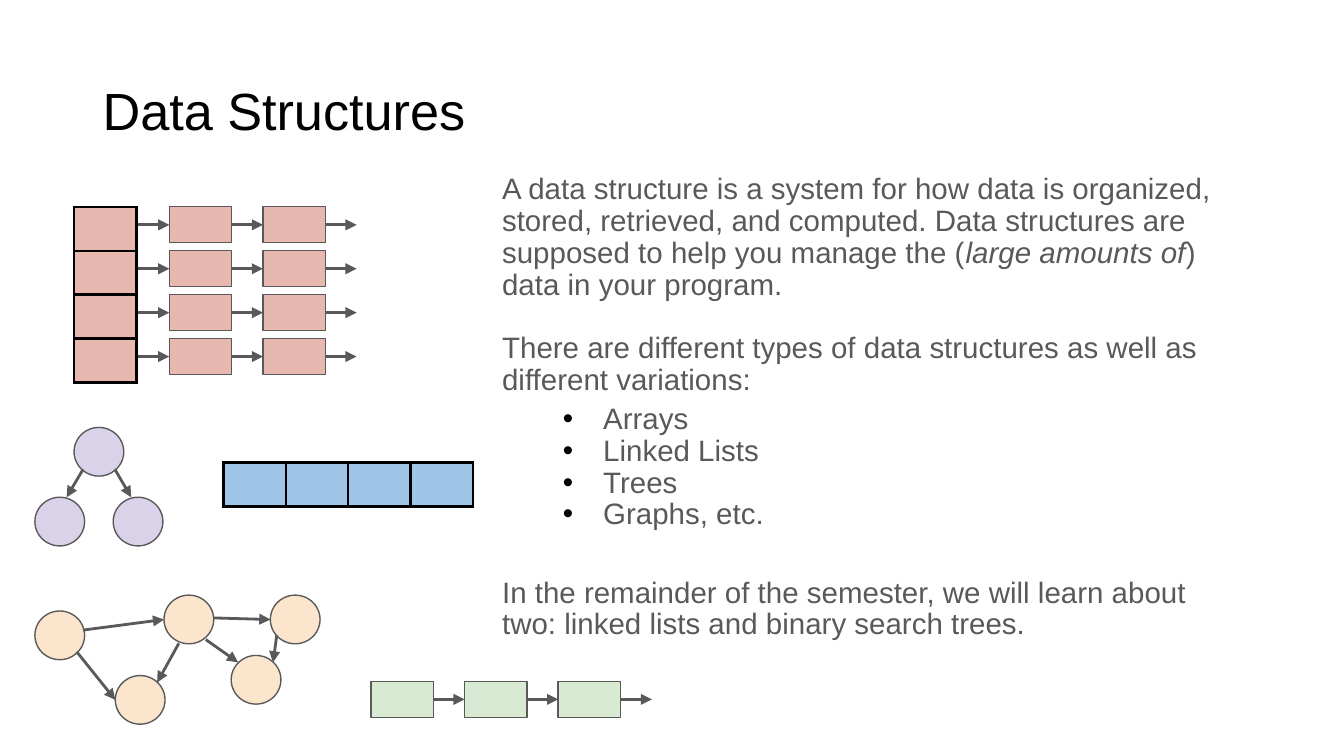
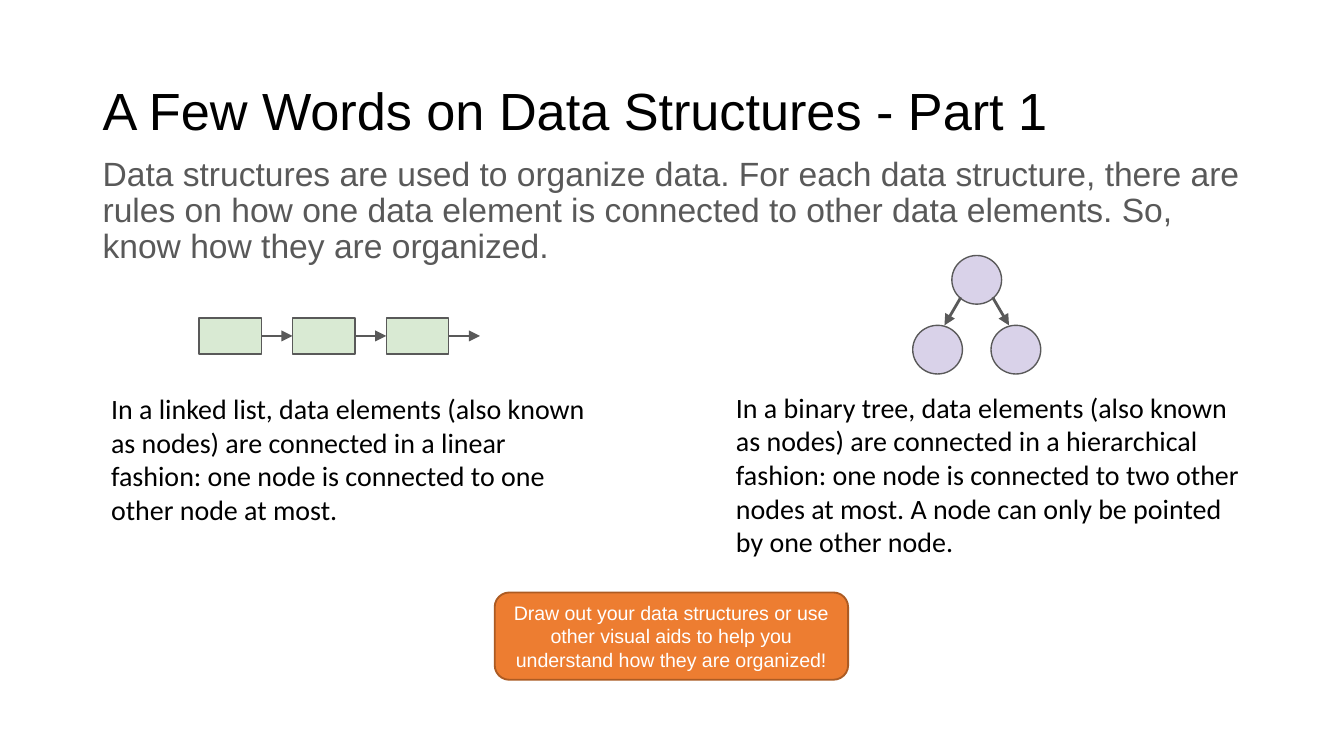
from lxml import etree
from pptx import Presentation
from pptx.dml.color import RGBColor
from pptx.enum import shapes, text
from pptx.oxml import ns
from pptx.util import Cm, Pt

HUES = {
    "black": "000000", "white": "FFFFFF", "grey": "595959",
    "red": "E6B8AF", "green": "D9EAD3", "blue": "9FC5E8",
    "violet": "D9D2E9", "peach": "FCE5CD",
    "orange": "ED7D31", "rust": "AC5B23",
}
CELL_W, CELL_H = 1.18, 0.68     # box of a linked list
STEP = 0.59                     # arrow between two boxes
ROW = 0.83                      # height of an array slot
NODE_W, NODE_H = 0.94, 0.92     # circle of a tree or graph
WIDE = 21.9                     # width of title and full body


def hue(name):
    return RGBColor.from_string(HUES[name])


def sub(node, tag, **attrs):
    return etree.SubElement(node, ns.qn(tag), attrs)


# ---- Text ----
def bullet(para):
    props = para._p.get_or_add_pPr()
    props.set("marL", str(Cm(1.91)))
    props.set("indent", str(-Cm(0.76)))
    sub(sub(props, "a:buClr"), "a:srgbClr", val=HUES["black"])
    sub(props, "a:buFont", typeface="Arial")
    sub(props, "a:buChar", char="•")


def write(frame, paras, size=15, font="Arial", color="black", lead=None,
          align="LEFT", anchor="TOP", pad=0.1):
    """Each paragraph is (runs, space before, bulleted); odd runs are italic."""
    frame.word_wrap = True
    frame.vertical_anchor = getattr(text.MSO_ANCHOR, anchor)
    frame.margin_left = frame.margin_right = Cm(0.19)
    frame.margin_top = frame.margin_bottom = Cm(pad)
    for i, (runs, gap, dot) in enumerate(paras):
        para = frame.add_paragraph() if i else frame.paragraphs[0]
        para.alignment = getattr(text.PP_ALIGN, align)
        para.space_before = Pt(gap)
        if lead:
            para.line_spacing = lead
        if dot:
            bullet(para)
        for j, words in enumerate(runs):
            run = para.add_run()
            run.text = words
            run.font.size = Pt(size)
            run.font.name = font
            run.font.italic = j % 2 == 1
            run.font.color.rgb = hue(color)


def label(slide, box, paras, **fmt):
    frame = slide.shapes.add_textbox(*map(Cm, box)).text_frame
    write(frame, paras, **fmt)


def title(slide, words):
    label(slide, (1.75, 0.76, WIDE, 2.77), [([words], 0, False)],
          size=28, lead=0.9, anchor="MIDDLE")


# ---- Basic parts ----
def block(slide, kind, box, fill, edge="grey", width=0.75):
    shape = slide.shapes.add_shape(getattr(shapes.MSO_SHAPE, kind), *map(Cm, box))
    shape.shadow.inherit = False
    shape.fill.solid()
    shape.fill.fore_color.rgb = hue(fill)
    shape.line.color.rgb = hue(edge)
    shape.line.width = Pt(width)
    return shape


def arrow(slide, x1, y1, x2, y2):
    line = slide.shapes.add_connector(
        shapes.MSO_CONNECTOR.STRAIGHT, Cm(x1), Cm(y1), Cm(x2), Cm(y2))
    line.line.color.rgb = hue("grey")
    line.line.width = Pt(1.5)
    sub(line.line._get_or_add_ln(), "a:tailEnd", type="triangle")
    sub(line._element.spPr, "a:effectLst")


def node(slide, x, y, fill):
    block(slide, "OVAL", (x, y, NODE_W, NODE_H), fill)


# ---- Data structures ----
def array(slide, x, y, rows, cols, fill):
    grid = slide.shapes.add_table(
        rows, cols, Cm(x), Cm(y), Cm(CELL_W * cols), Cm(ROW * rows)).table
    grid.first_row = grid.horz_banding = False
    for cell in grid.iter_cells():
        cell.margin_left = cell.margin_right = 0
        cell.margin_top = cell.margin_bottom = 0
        cell.text_frame.paragraphs[0].font.size = Pt(10)
        props = cell._tc.get_or_add_tcPr()
        for side in ("a:lnL", "a:lnR", "a:lnT", "a:lnB"):
            edge = sub(props, side, w=str(Pt(1.5)))
            sub(sub(edge, "a:solidFill"), "a:srgbClr", val=HUES["black"])
        cell.fill.solid()
        cell.fill.fore_color.rgb = hue(fill)


def chain(slide, x, y, count, fill):
    mid = y + CELL_H / 2
    for i in range(count):
        left = x + i * (CELL_W + STEP)
        end = left + CELL_W
        block(slide, "RECTANGLE", (left, y, CELL_W, CELL_H), fill)
        arrow(slide, end, mid, end + STEP, mid)


def table(slide, x, y, rows=4):
    """Array of slots, each of which starts a chain."""
    array(slide, x, y, rows, 1, "red")
    start = x + CELL_W + 0.03
    for i in range(rows):
        top = y + i * ROW
        mid = top + CELL_H / 2
        arrow(slide, start, mid, start + STEP, mid)
        chain(slide, start + STEP, top, 2, "red")


def tree(slide, x, y):
    span, drop = 0.74, 1.32
    mid = x + span + NODE_W / 2
    node(slide, x + span, y, "violet")
    for side in (-1, 1):
        arrow(slide, mid + side * 0.3, y + 0.79, mid + side * 0.61, y + drop)
        node(slide, x + span + side * span, y + drop, "violet")


def graph(slide, x, y):
    spots = [(0, 0.3), (2.44, 0), (4.45, 0), (1.52, 1.52), (3.71, 1.14)]
    links = [
        (0.91, 0.66, 2.44, 0.46), (0.79, 1.07, 1.52, 1.98),
        (3.23, 0.84, 3.84, 1.27), (2.72, 0.91, 2.31, 1.65),
        (3.38, 0.43, 4.45, 0.46), (4.57, 0.76, 4.5, 1.27),
    ]
    for dx, dy in spots:
        node(slide, x + dx, y + dy, "peach")
    for x1, y1, x2, y2 in links:
        arrow(slide, x + x1, y + y1, x + x2, y + y2)


# ---- Slides ----
def kinds(slide):
    title(slide, "Data Structures")
    names = ["Arrays", "Linked Lists", "Trees", "Graphs, etc."]
    paras = [
        (["A data structure is a system for how data is organized, stored, "
          "retrieved, and computed. Data structures are supposed to help you "
          "manage the (", "large amounts of", ") data in your program."], 0, False),
        (["There are different types of data structures as well as "
          "different variations:"], 17, False),
        *[([name], 0 if i else 3.8, True) for i, name in enumerate(names)],
        (["In the remainder of the semester, we will learn about two: "
          "linked lists and binary search trees."], 24.8, False),
    ]
    label(slide, (9.3, 3.2, 14.35, 9.07), paras,
          size=15.8, color="grey", lead=0.9)
    table(slide, 1.4, 3.91)
    tree(slide, 0.66, 8.08)
    array(slide, 4.22, 8.74, 1, 4, "blue")
    graph(slide, 0.66, 11.25)
    chain(slide, 7.01, 12.88, 3, "green")


def words(slide):
    title(slide, "A Few Words on Data Structures - Part 1")
    intro = ("Data structures are used to organize data. For each data structure, "
             "there are rules on how one data element is connected to other data "
             "elements. So, know how they are organized.")
    label(slide, (1.75, 2.87, WIDE, 9.07), [([intro], 7.5, False)],
          size=18, color="grey", lead=0.9)

    # Linked list beside binary tree
    chain(slide, 3.76, 6.01, 3, "green")
    tree(slide, 17.25, 4.83)
    notes = [
        ((1.91, 7.21, 9.45, 3.66),
         "In a linked list, data elements (also known as nodes) are connected in "
         "a linear fashion: one node is connected to one other node at most."),
        ((13.72, 7.19, 10.19, 3.66),
         "In a binary tree, data elements (also known as nodes) are connected in "
         "a hierarchical fashion: one node is connected to two other nodes at "
         "most. A node can only be pointed by one other node."),
    ]
    for box, note in notes:
        label(slide, box, [([note], 0, False)], font="Calibri", pad=0.19)

    # Tip
    tip = block(slide, "ROUNDED_RECTANGLE", (9.35, 11.2, 6.68, 1.65),
                "orange", "rust", 1)
    write(tip.text_frame,
          [(["Draw out your data structures or use other visual aids to help "
             "you understand how they are organized!"], 0, False)],
          size=10.5, color="white", align="CENTER", anchor="MIDDLE")


def main():
    deck = Presentation()
    deck.slide_width, deck.slide_height = Cm(25.4), Cm(14.29)
    for build in (kinds, words):
        build(deck.slides.add_slide(deck.slide_layouts[6]))
    deck.save("out.pptx")


if __name__ == "__main__":
    main()
